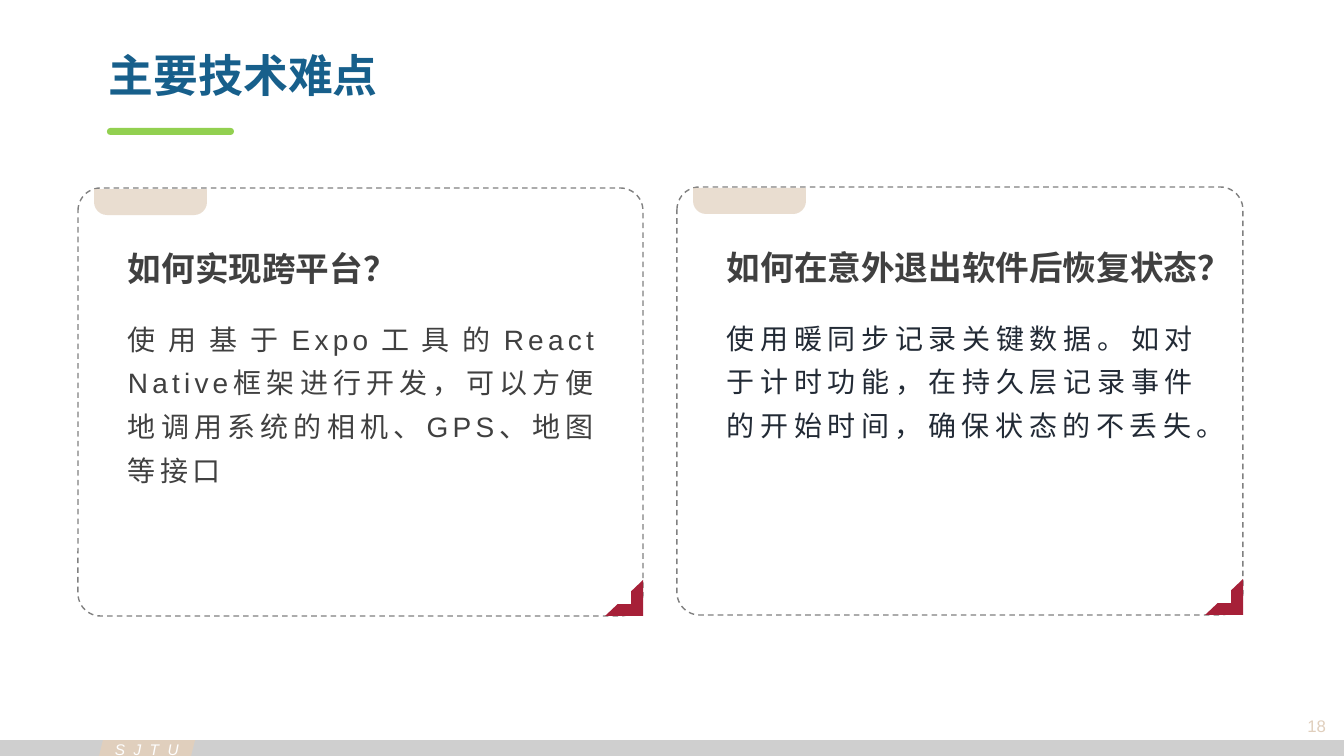
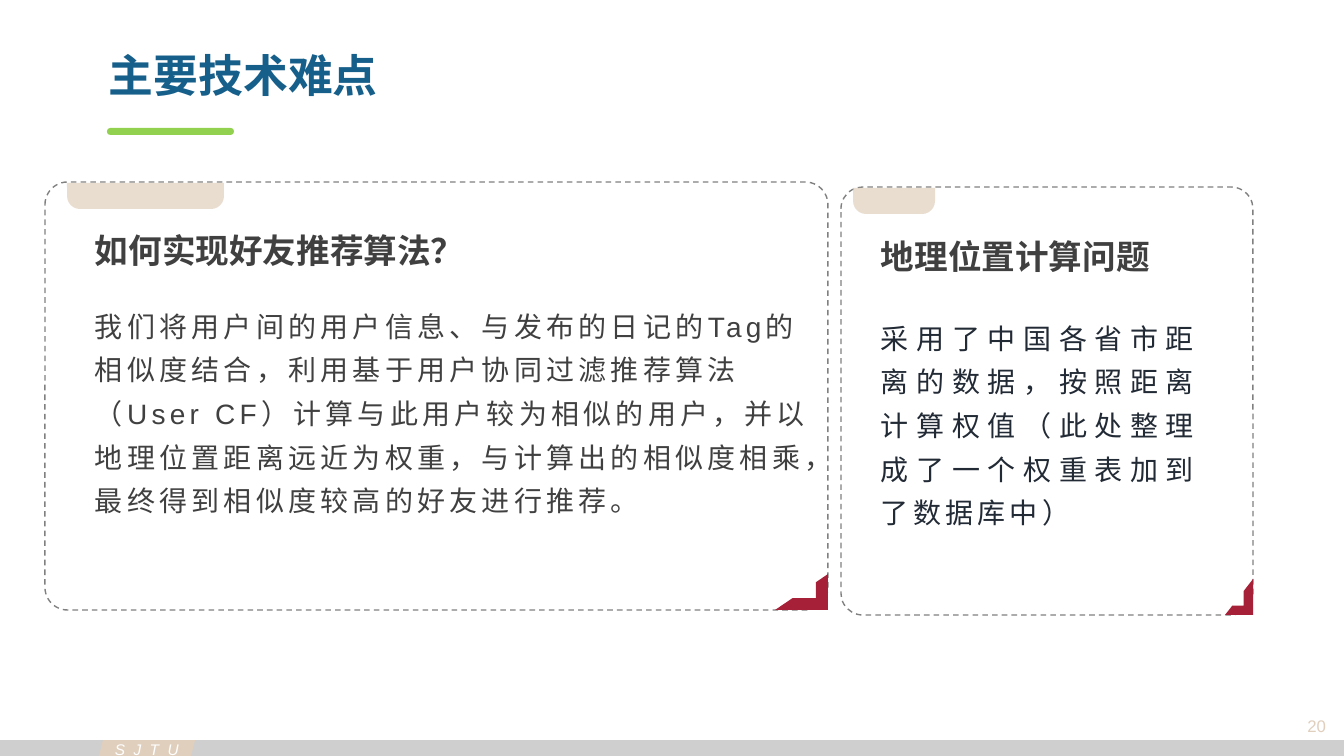
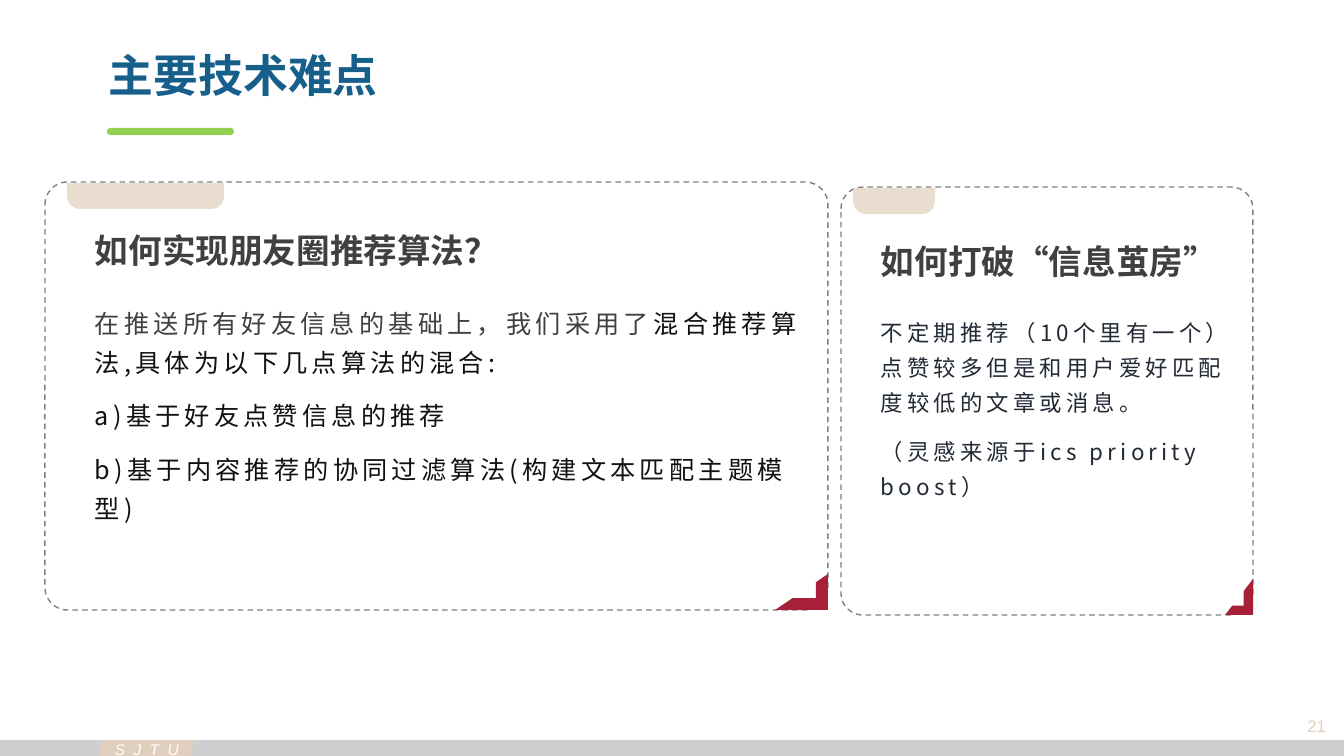
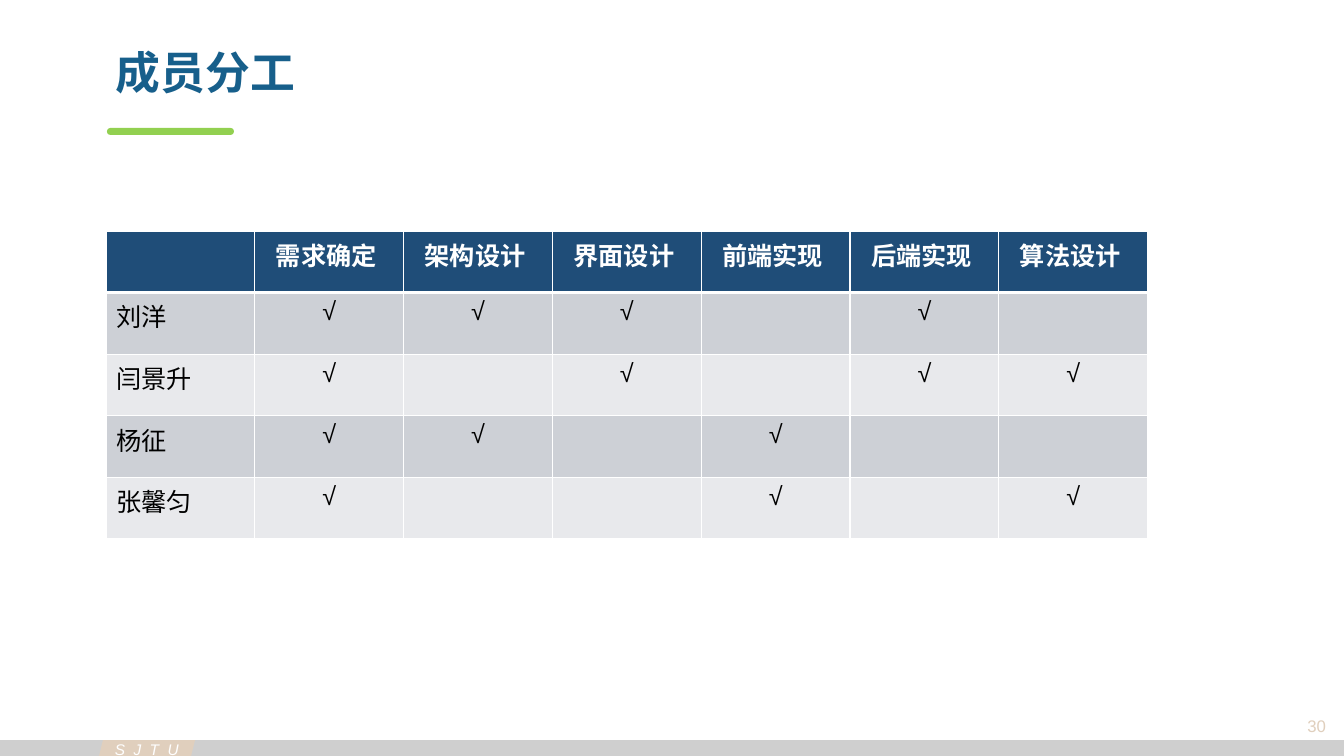
from dataclasses import dataclass

from lxml import etree
from pptx import Presentation
from pptx import util as u
from pptx.dml.color import RGBColor
from pptx.enum import dml, shapes, text
from pptx.oxml import ns

PAGE_WIDTH, PAGE_HEIGHT = 1344, 756
EMU_PER_PX = 12192000 / PAGE_WIDTH
SHAPE = shapes.MSO_SHAPE
ALIGN = text.PP_ALIGN
ANCHOR = text.MSO_ANCHOR


@dataclass(frozen=True)
class Theme:
    title: str = "175F8B"
    accent: str = "92D050"
    sand: str = "E0CFBD"
    band: str = "BFBFBF"
    outline: str = "808080"
    corner: str = "A62038"
    body: str = "404040"
    navy: str = "222A35"
    ink: str = "111111"
    black: str = "000000"
    white: str = "FFFFFF"
    header: str = "1F4D78"
    rows: tuple = ("CDD0D6", "E8E9EC")
    latin: str = "Arial"
    chinese: str = "Noto Sans CJK SC"
    title_size: int = 32
    heading_size: int = 24
    body_size: int = 20
    table_size: int = 18
    number_size: int = 12
    mark_size: int = 11


THEME = Theme()


@dataclass(frozen=True)
class Card:
    """Offsets are measured from the top left corner of box."""
    box: tuple
    heading: str
    body: tuple  # paragraphs, each a tuple of (text, colour) runs
    inset: int = 40
    heading_middle: int = 80
    body_top: int = 119
    body_width: int = 490
    size: int = THEME.body_size
    font: str = THEME.chinese
    align: ALIGN = ALIGN.LEFT


def px(length):
    return u.Emu(round(length * EMU_PER_PX))


def add_shape(page, kind, box, fill=None, opacity=100, rotation=0, adjust=()):
    shape = page.shapes.add_shape(kind, *map(px, box))
    shape.shadow.inherit = False
    shape.line.fill.background()
    shape.rotation = rotation
    for index, value in enumerate(adjust):
        shape.adjustments[index] = value
    if fill is None:
        shape.fill.background()
        return shape
    shape.fill.solid()
    shape.fill.fore_color.rgb = RGBColor.from_string(fill)
    if opacity < 100:
        colour = shape.fill._xPr.find(".//" + ns.qn("a:srgbClr"))
        etree.SubElement(colour, ns.qn("a:alpha"), val=str(opacity * 1000))
    return shape


def style(para, size, colour, font=THEME.latin, bold=False, italic=False,
          align=ALIGN.LEFT, tracking=0):
    para.alignment = align
    para.font.size = u.Pt(size)
    para.font.bold, para.font.italic = bold, italic
    para.font.color.rgb = RGBColor.from_string(colour)
    para.font.name = font
    properties = para.font._rPr
    etree.SubElement(properties, ns.qn("a:ea"), typeface=THEME.chinese)
    if tracking:
        properties.set("spc", str(tracking * 100))


def add_frame(page, box, anchor=ANCHOR.MIDDLE, wrap=True):
    frame = page.shapes.add_textbox(*map(px, box)).text_frame
    frame.word_wrap = wrap
    frame.vertical_anchor = anchor
    return frame


def add_line(page, box, words, size, colour, anchor=ANCHOR.MIDDLE, wrap=True, **look):
    """Add a text box that holds one paragraph."""
    para = add_frame(page, box, anchor, wrap).paragraphs[0]
    para.text = words
    style(para, size, colour, **look)


def add_page(deck, title, number, title_at=(99, 42)):
    """Add a slide with the title, footer band and page number."""
    page = deck.slides.add_slide(deck.slide_layouts[6])
    add_shape(page, SHAPE.RECTANGLE, (0, 740, PAGE_WIDTH, 16), THEME.band, 75)
    add_shape(page, SHAPE.PARALLELOGRAM, (99, 740, 96, 16), THEME.sand)
    add_shape(page, SHAPE.ROUND_2_SAME_RECTANGLE, (107, 128, 127, 7),
              THEME.accent, adjust=(0.5, 0.5))
    add_line(page, (105, 735, 94, 29), "SJTU", THEME.mark_size, THEME.white,
             ANCHOR.TOP, wrap=False, italic=True, tracking=6)
    add_line(page, (*title_at, 1078, 66), title, THEME.title_size, THEME.title, bold=True)
    add_line(page, (1222, 707, 114, 38), str(number), THEME.number_size, THEME.sand,
             align=ALIGN.RIGHT)
    return page


def add_card(page, card):
    left, top, width, height = card.box
    outline = add_shape(page, SHAPE.ROUNDED_RECTANGLE, card.box, adjust=(0.053,))
    outline.line.color.rgb = RGBColor.from_string(THEME.outline)
    outline.line.width = u.Pt(1)
    outline.line.dash_style = dml.MSO_LINE.DASH
    corner_width, corner_height = round(width * 0.068), 36
    add_shape(page, SHAPE.HALF_FRAME,
              (left + width - corner_width, top + height - corner_height,
               corner_width, corner_height), THEME.corner, rotation=180)
    add_shape(page, SHAPE.ROUND_2_SAME_RECTANGLE,
              (left + round(width * 0.028), top + 1, round(width * 0.2), 26),
              THEME.sand, 70, rotation=180, adjust=(0.5, 0))

    text_left = left + card.inset
    add_line(page, (text_left, top + card.heading_middle - 24, width - card.inset, 48),
             card.heading, THEME.heading_size, THEME.body, font=THEME.chinese, bold=True)
    frame = add_frame(page, (text_left, top + card.body_top, card.body_width, 273),
                      ANCHOR.TOP)
    for index, spans in enumerate(card.body):
        para = frame.add_paragraph() if index else frame.paragraphs[0]
        para.line_spacing = 1.3
        if index:
            para.space_before = u.Pt(10)
        base = spans[0][1]
        style(para, card.size, base, card.font, align=card.align, tracking=3)
        for words, colour in spans:
            span = para.add_run()
            span.text = words
            if colour != base:
                span.font.color.rgb = RGBColor.from_string(colour)


def add_borders(cell, bottom):
    properties = cell._tc.get_or_add_tcPr()
    for side, points in (("L", 1), ("R", 1), ("T", 1), ("B", bottom)):
        line = etree.SubElement(properties, ns.qn("a:ln" + side), w=str(u.Pt(points)))
        fill = etree.SubElement(line, ns.qn("a:solidFill"))
        etree.SubElement(fill, ns.qn("a:srgbClr"), val=THEME.white)


def fill_cell(cell, words, fill, colour, bottom=1, **look):
    add_borders(cell, bottom)
    cell.fill.solid()
    cell.fill.fore_color.rgb = RGBColor.from_string(fill)
    para = cell.text_frame.paragraphs[0]
    para.text = words
    style(para, THEME.table_size, colour, **look)


def add_duties(page, box, duties, members):
    """Add a table that ticks the duties of each member."""
    table = page.shapes.add_table(len(members) + 1, len(duties) + 1,
                                  *map(px, box)).table
    table.horz_banding = False
    for column, duty in enumerate(("", *duties)):
        cell = table.cell(0, column)
        cell.margin_left = px(21)
        fill_cell(cell, duty, THEME.header, THEME.white, bottom=3, bold=True)
    for row, (member, done) in enumerate(members.items(), 1):
        fill = THEME.rows[(row - 1) % 2]
        fill_cell(table.cell(row, 0), member, fill, THEME.black)
        for column, duty in enumerate(duties, 1):
            fill_cell(table.cell(row, column), "√" if duty in done else "", fill,
                      THEME.black, align=ALIGN.CENTER)


LEFT_HALF, RIGHT_HALF = (78, 188, 565, 428), (677, 187, 566, 428)
WIDE, NARROW = (45, 182, 783, 428), (841, 187, 412, 428)
WIDE_TEXT = dict(box=WIDE, heading_middle=68, body_top=112, body_width=735)

DIFFICULTIES = {
    18: (
        Card(LEFT_HALF, "如何实现跨平台？",
             ((("使用基于Expo工具的React Native框架进行开发，可以方便地调用系统的相机、"
                "GPS、地图等接口", THEME.body),),),
             font=THEME.latin, align=ALIGN.JUSTIFY),
        Card(RIGHT_HALF, "如何在意外退出软件后恢复状态？",
             ((("使用暖同步记录关键数据。如对于计时功能，在持久层记录事件的开始时间，"
                "确保状态的不丢失。", THEME.navy),),),
             align=ALIGN.JUSTIFY),
    ),
    20: (
        Card(heading="如何实现好友推荐算法？",
             body=((("我们将用户间的用户信息、与发布的日记的Tag的相似度结合，利用基于用户协同"
                     "过滤推荐算法（User CF）计算与此用户较为相似的用户，并以地理位置距离远近"
                     "为权重，与计算出的相似度相乘，最终得到相似度较高的好友进行推荐。",
                     THEME.body),),),
             font=THEME.latin, **WIDE_TEXT),
        Card(NARROW, "地理位置计算问题",
             ((("采用了中国各省市距离的数据，按照距离计算权值（此处整理成了一个权重表"
                "加到了数据库中）", THEME.navy),),),
             inset=30, heading_middle=69, body_width=337, align=ALIGN.JUSTIFY),
    ),
    21: (
        Card(heading="如何实现朋友圈推荐算法？",
             body=((("在推送所有好友信息的基础上，我们采用了", THEME.body),
                    ("混合推荐算法,具体为以下几点算法的混合:", THEME.ink)),
                   (("a)基于好友点赞信息的推荐", THEME.ink),),
                   (("b)基于内容推荐的协同过滤算法(构建文本匹配主题模型)", THEME.ink),)),
             size=18, **WIDE_TEXT),
        Card(NARROW, "如何打破“信息茧房”",
             ((("不定期推荐（10个里有一个）点赞较多但是和用户爱好匹配度较低的文章或消息。",
                THEME.navy),),
              (("（灵感来源于ics priority boost）", THEME.navy),)),
             inset=30, heading_middle=74, body_width=376, size=16),
    ),
}

DUTIES = ("需求确定", "架构设计", "界面设计", "前端实现", "后端实现", "算法设计")
MEMBERS = {
    "刘洋": ("需求确定", "架构设计", "界面设计", "后端实现"),
    "闫景升": ("需求确定", "界面设计", "后端实现", "算法设计"),
    "杨征": ("需求确定", "架构设计", "前端实现"),
    "张馨匀": ("需求确定", "前端实现", "算法设计"),
}


def main():
    deck = Presentation()
    deck.slide_width, deck.slide_height = px(PAGE_WIDTH), px(PAGE_HEIGHT)
    for number, cards in DIFFICULTIES.items():
        page = add_page(deck, "主要技术难点", number)
        for card in cards:
            add_card(page, card)
    page = add_page(deck, "成员分工", 30, title_at=(106, 39))
    add_duties(page, (106, 231, 1042, 308), DUTIES, MEMBERS)
    deck.save("out.pptx")


if __name__ == "__main__":
    main()
